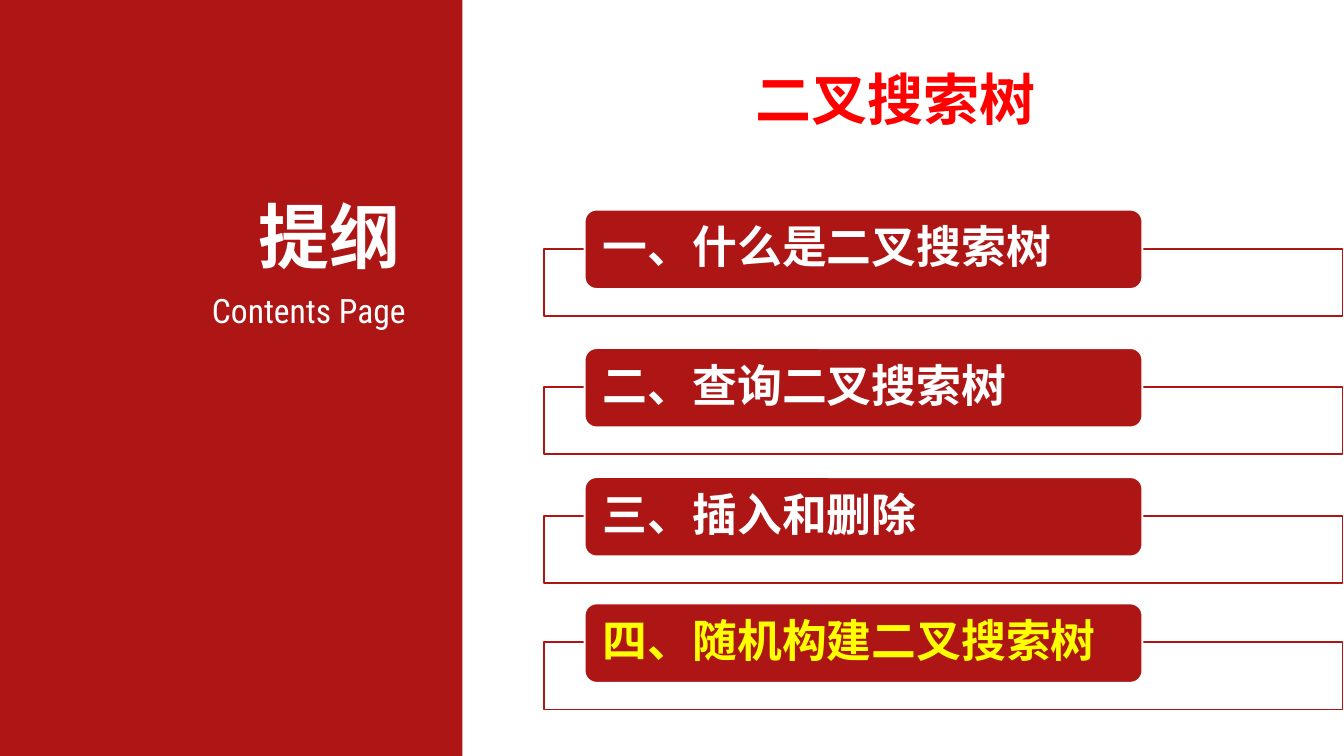
from dataclasses import dataclass

from lxml import etree
from pptx import Presentation
from pptx import util as u
from pptx.dml.color import RGBColor
from pptx.enum import shapes, text
from pptx.oxml import ns


@dataclass(frozen=True)
class Theme:
    red: str = "AE1616"
    white: str = "FFFFFF"
    title_red: str = "FF0000"
    current: str = "FFFF00"
    main_font: str = "Arial"
    topic_font: str = "Karla"
    subtitle_font: str = "Roboto Condensed"
    title_size: int = 30
    heading_size: int = 38
    subtitle_size: int = 18
    topic_size: int = 24


THEME = Theme()
SLIDE_WIDTH = 10
SLIDE_HEIGHT = SLIDE_WIDTH * 9 / 16
TOPICS = [
    (1.56, "一、什么是二叉搜索树", THEME.white),
    (2.59, "二、查询二叉搜索树", THEME.white),
    (3.55, "三、插入和删除", THEME.white),
    (4.49, "四、随机构建二叉搜索树", THEME.current),
]


def write(frame, words, font, size, color, bold, align, insets):
    frame.text = words
    frame.word_wrap = True
    frame.margin_left = frame.margin_right = u.Inches(insets[0])
    frame.margin_top = frame.margin_bottom = u.Inches(insets[1])
    paragraph = frame.paragraphs[0]
    paragraph.alignment = align
    run_font = paragraph.runs[0].font
    run_font.name, run_font.size, run_font.bold = font, u.Pt(size), bold
    run_font.color.rgb = RGBColor.from_string(color)
    return paragraph


def add_label(slide, box, words, font, size, color, bold, align, insets=(0.07, 0.04)):
    label = slide.shapes.add_textbox(*map(u.Inches, box))
    paragraph = write(label.text_frame, words, font, size, color, bold, align, insets)
    return label.text_frame, paragraph


def add_block(slide, kind, box, fill, line=None):
    block = slide.shapes.add_shape(kind, *map(u.Inches, box))
    block.shadow.inherit = False
    block.fill.solid()
    block.fill.fore_color.rgb = RGBColor.from_string(fill)
    if line:
        block.line.color.rgb = RGBColor.from_string(line)
        block.line.width = u.Pt(1)
    else:
        block.line.fill.background()
    return block


def add_topic(slide, top, words, color):
    frame = add_block(slide, shapes.MSO_SHAPE.RECTANGLE,
                      (4.05, top + 0.29, 5.94, 0.5), THEME.white, THEME.red)
    fill_color = frame.fill._xPr.find(ns.qn("a:solidFill"))[0]
    etree.SubElement(fill_color, ns.qn("a:alpha"), val="90000")

    bar = add_block(slide, shapes.MSO_SHAPE.ROUNDED_RECTANGLE,
                    (4.35, top, 4.15, 0.59), THEME.red, THEME.white)
    bar.adjustments[0] = 0.15
    bar.text_frame.vertical_anchor = text.MSO_ANCHOR.MIDDLE
    paragraph = write(bar.text_frame, words, THEME.topic_font, THEME.topic_size,
                      color, True, text.PP_ALIGN.LEFT, (0.11, 0))
    paragraph.line_spacing = 0.9
    paragraph.space_after = u.Pt(0.35 * THEME.topic_size)


def add_side_panel(slide):
    add_block(slide, shapes.MSO_SHAPE.RECTANGLE, (0, 0, 3.44, SLIDE_HEIGHT), THEME.red)
    add_label(slide, (0.34, 2.12, 2.75, 0.38), "Contents Page", THEME.subtitle_font,
              THEME.subtitle_size, THEME.white, False, text.PP_ALIGN.RIGHT)
    add_label(slide, (1.1, 1.39, 1.95, 0.72), "提纲", THEME.main_font,
              THEME.heading_size, THEME.white, True, text.PP_ALIGN.RIGHT)


def add_title(slide):
    frame, paragraph = add_label(
        slide, (3.44, 0, 6.45, 1.21), "二叉搜索树", THEME.main_font, THEME.title_size,
        THEME.title_red, True, text.PP_ALIGN.CENTER, (0.1, 0.05))
    frame.vertical_anchor = text.MSO_ANCHOR.MIDDLE
    paragraph.line_spacing = 1.5


def main():
    """Build the outline slide on binary search trees."""
    deck = Presentation()
    deck.slide_width, deck.slide_height = map(u.Inches, (SLIDE_WIDTH, SLIDE_HEIGHT))
    slide = deck.slides.add_slide(deck.slide_layouts[6])
    add_side_panel(slide)
    for top, words, color in TOPICS[:-1]:
        add_topic(slide, top, words, color)
    add_title(slide)
    add_topic(slide, *TOPICS[-1])
    deck.save("out.pptx")


if __name__ == "__main__":
    main()
